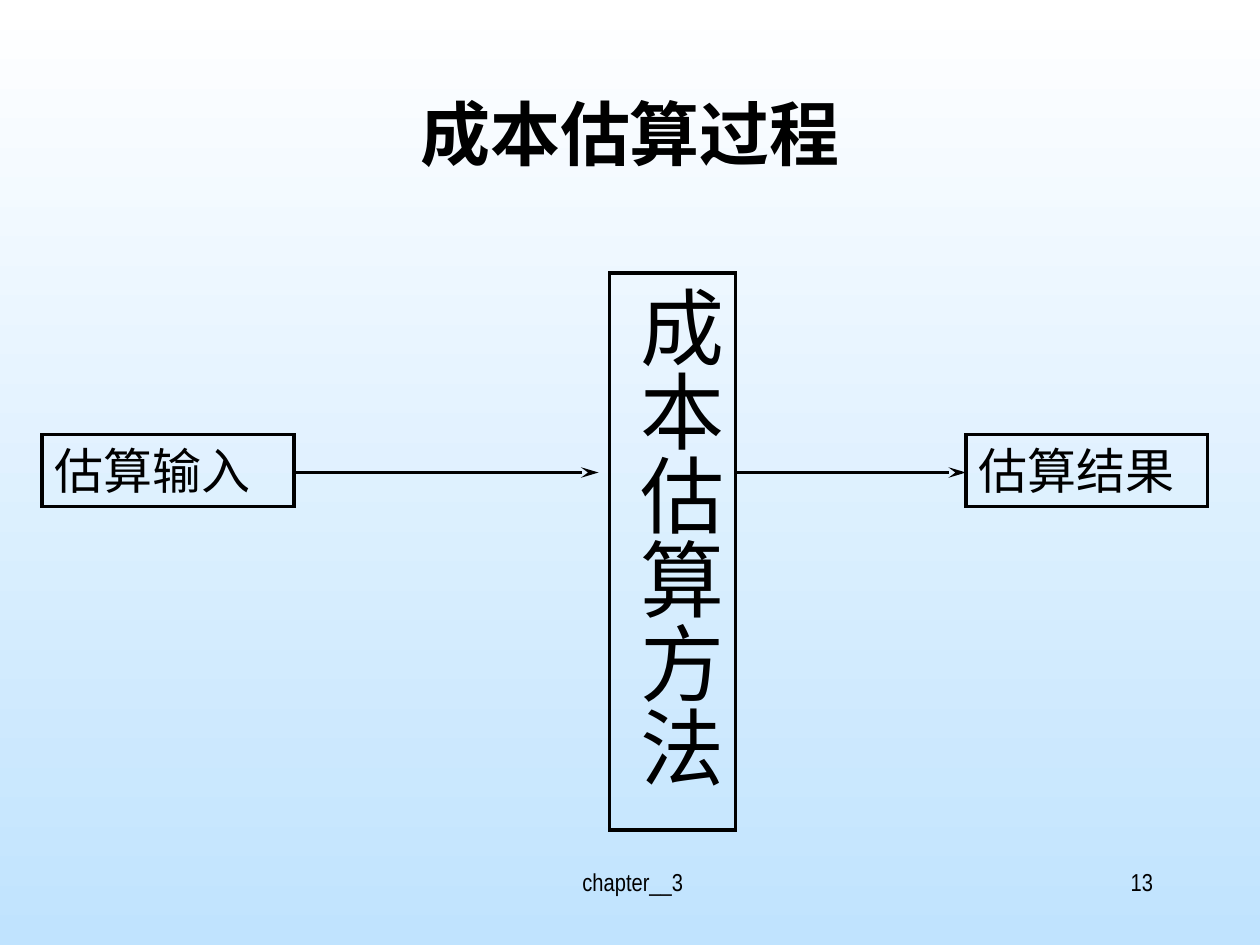
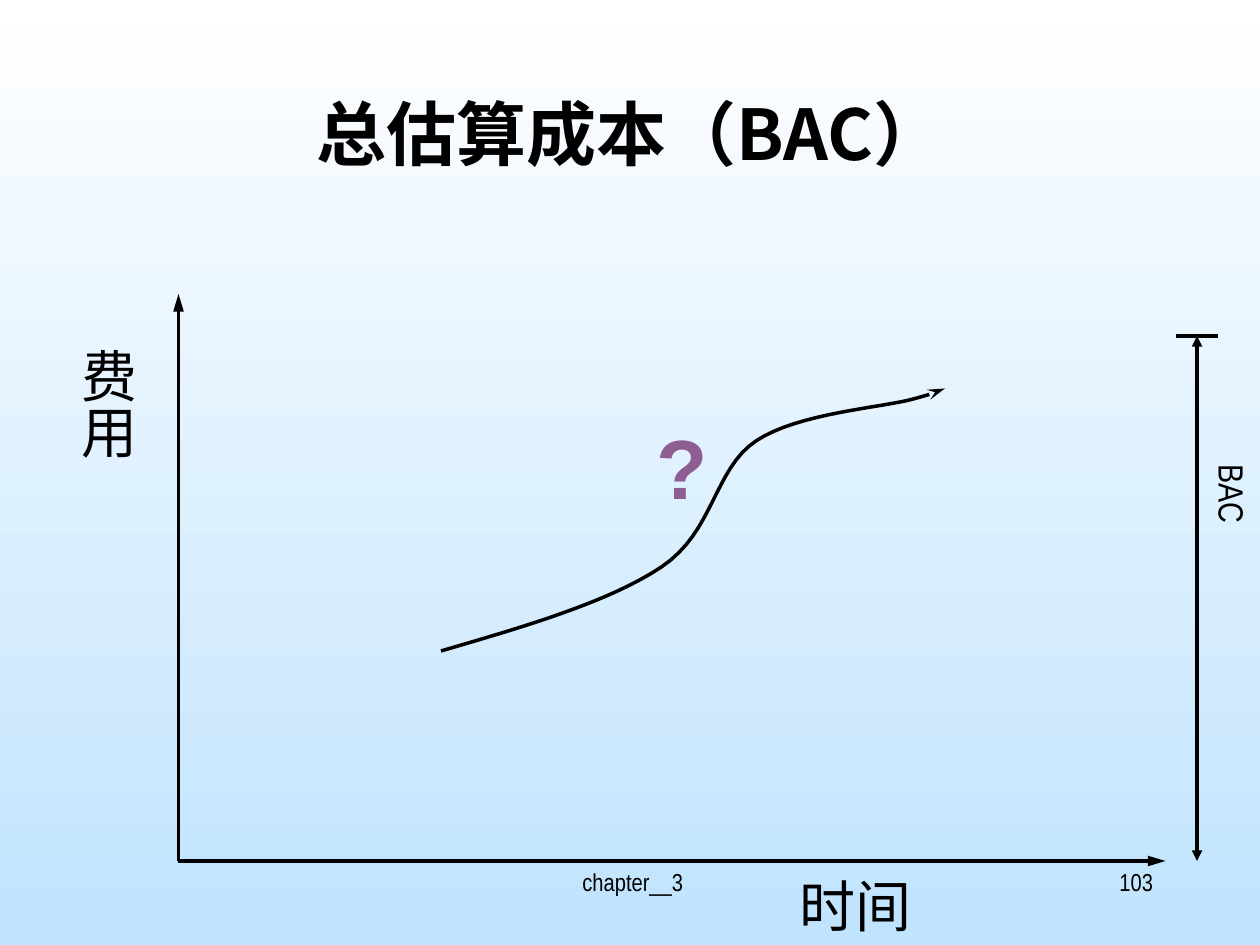
from lxml import etree
from pptx import Presentation
from pptx.dml.color import RGBColor
from pptx.enum import shapes, text
from pptx.oxml.ns import qn
from pptx.util import Pt

BLACK = RGBColor(0x00, 0x00, 0x00)
WHITE = RGBColor(0xFF, 0xFF, 0xFF)
SKY = RGBColor(0xC0, 0xE3, 0xFE)
PLUM = RGBColor(0x8E, 0x5E, 0x92)
BODY = "Arial Narrow"
HAN = "Noto Sans CJK SC"
LEFT, MID, RIGHT = text.PP_ALIGN.LEFT, text.PP_ALIGN.CENTER, text.PP_ALIGN.RIGHT


def write(shape, words, size, align=LEFT, font=BODY, bold=False, color=BLACK,
          upright=False):
    """Set one line of text; upright runs it downwards."""
    frame = shape.text_frame
    frame.text = words
    frame.word_wrap = True
    frame.vertical_anchor = text.MSO_ANCHOR.TOP
    if upright:
        frame.margin_left = frame.margin_right = Pt(3.6)
        frame.margin_top = frame.margin_bottom = Pt(7.2)
        frame.auto_size = text.MSO_AUTO_SIZE.SHAPE_TO_FIT_TEXT
        shape.element.find(".//" + qn("a:bodyPr")).set("vert", "eaVert")
    para = frame.paragraphs[0]
    para.alignment = align
    face = para.runs[0].font
    face.name, face.size, face.bold = font, Pt(size), bold
    face.color.rgb = color
    for props in shape.element.iter(qn("a:rPr")):
        etree.SubElement(props, qn("a:ea")).set("typeface", HAN)


def label(slide, place, words, size, **style):
    box = slide.shapes.add_textbox(*map(Pt, place))
    write(box, words, size, **style)


def frame(slide, place, words, size, **style):
    """Add an outlined box without fill."""
    box = slide.shapes.add_shape(shapes.MSO_SHAPE.RECTANGLE, *map(Pt, place))
    box.shadow.inherit = False
    box.fill.background()
    ink(box)
    write(box, words, size, **style)


def ink(shape, head=None, tail=None, reach="lg"):
    """Draw the line in black with arrowheads of the given length."""
    shape.line.color.rgb = BLACK
    shape.line.width = Pt(2)
    line = shape.element.spPr.find(qn("a:ln"))
    etree.SubElement(line, qn("a:miter")).set("lim", "800000")
    for end, kind in (("a:headEnd", head), ("a:tailEnd", tail)):
        if kind:
            tip = etree.SubElement(line, qn(end))
            tip.set("type", kind)
            tip.set("len", reach)


def rule(slide, start, stop, **ends):
    line = slide.shapes.add_connector(
        shapes.MSO_CONNECTOR.STRAIGHT, *map(Pt, start + stop))
    ink(line, **ends)
    etree.SubElement(line.element.spPr, qn("a:effectLst"))


def bend(a, b, c, d, t):
    """Return the point at t on a cubic curve."""
    s = 1 - t
    return tuple(s**3 * p + 3 * s * s * t * q + 3 * s * t * t * r + t**3 * v
                 for p, q, r, v in zip(a, b, c, d))


def curve(slide, knots, steps=16):
    """Draw a smooth open line; every third knot lies on it."""
    dots = [bend(*knots[i:i + 4], n / steps)
            for i in range(0, len(knots) - 1, 3) for n in range(1, steps + 1)]
    pen = slide.shapes.build_freeform(*map(Pt, knots[0]))
    pen.add_line_segments([(Pt(x), Pt(y)) for x, y in dots], close=False)
    line = pen.convert_to_shape()
    line.shadow.inherit = False
    line.fill.background()
    ink(line, tail="stealth")


def start(deck, title, number):
    """Add a slide with the shared background, footer and title."""
    slide = deck.slides.add_slide(deck.slide_layouts[6])
    fill = slide.background.fill
    fill.gradient()
    fill.gradient_angle = 270
    for stop, color, spot in zip(fill.gradient_stops, (WHITE, SKY), (0, 1)):
        stop.color.rgb = color
        stop.position = spot
    label(slide, (246, 492, 228, 36), " chapter__3", 14, align=MID)
    label(slide, (516, 492, 150, 36), number, 14, align=RIGHT)
    label(slide, (54, 48, 612, 90), title, 40, align=MID, font=HAN, bold=True)
    return slide


def process(deck):
    slide = start(deck, "成本估算过程", "13")
    frame(slide, (24, 248.4, 144, 41), "估算输入", 28)
    frame(slide, (552, 248.4, 138, 41), "估算结果", 28)
    frame(slide, (348.4, 156, 72, 318.4), "成本估算方法", 48, upright=True)
    for left, right in ((168, 342), (420, 552)):
        rule(slide, (left, 270), (right, 270), tail="stealth")


def budget(deck):
    slide = start(deck, "总估算成本（BAC）", "103")
    zero = (102, 492)
    for tip in ((666, 492), (102, 168)):
        rule(slide, zero, tip, tail="triangle")
    label(slide, (31.6, 192, 52.4, 150), "费用", 32, align=MID, upright=True)
    rule(slide, (672, 192), (696, 192))
    rule(slide, (684, 192), (684, 492),
         head="triangle", tail="triangle", reach="med")
    label(slide, (682, 258, 38, 96), "BAC", 20, align=MID, upright=True)
    label(slide, (450, 494.4, 132, 46), "时间", 32)
    label(slide, (348, 234, 84, 126), "?", 48, align=MID, font="Arial",
          bold=True, color=PLUM)
    curve(slide, [(252, 372), (300, 358), (348, 344), (378, 324),
                  (408, 304), (408, 268), (432, 252),
                  (456, 236), (504, 233), (522, 228),
                  (540, 223), (540, 222.5), (540, 222)])


def main():
    deck = Presentation()
    deck.slide_width, deck.slide_height = Pt(720), Pt(540)
    process(deck)
    budget(deck)
    deck.save("out.pptx")


if __name__ == "__main__":
    main()
